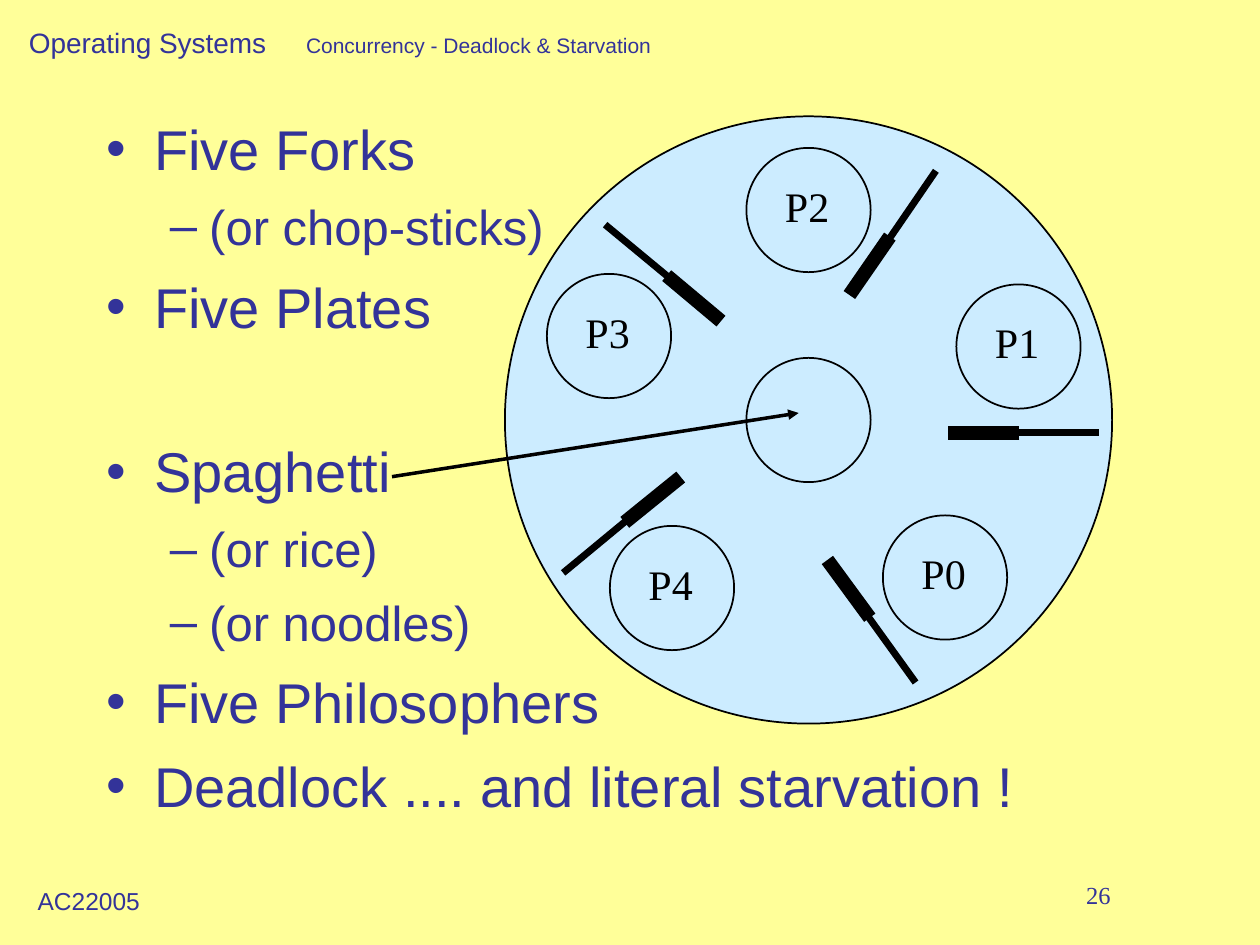
"""Build the dining philosophers slide: a bulleted list beside a round table."""
import pptx
import pptx.dml.color
import pptx.enum.shapes
import pptx.oxml.ns
import pptx.util
from lxml import etree

Pt = pptx.util.Pt
RGB = pptx.dml.color.RGBColor
SHAPE = pptx.enum.shapes.MSO_SHAPE
qn = pptx.oxml.ns.qn


class Theme:
    paper = RGB.from_string("FFFF99")
    ink = RGB.from_string("333399")
    table = RGB.from_string("CCECFF")
    black = RGB.from_string("000000")
    sans = "Arial"
    serif = "Times New Roman"
    topic, footer, course, label = 12, 14, 16, 24
    bullets = (32, 28)


def add_text(tf, text, size, font=Theme.sans, color=Theme.ink, bullet=None,
             level=0, indent=(0, 0), before=0, first=True):
    tf.word_wrap = True
    p = tf.paragraphs[0] if first else tf.add_paragraph()
    p.level = level
    p.space_before = Pt(before)
    r = p.add_run()
    r.text = text
    r.font.size = Pt(size)
    r.font.name = font
    r.font.color.rgb = color
    if bullet:
        pPr = p._p.get_or_add_pPr()
        pPr.set("marL", str(Pt(indent[0])))
        pPr.set("indent", str(Pt(indent[1])))
        etree.SubElement(pPr, qn("a:buFont"), typeface=font)
        etree.SubElement(pPr, qn("a:buChar"), char=bullet)


def add_line(s, x1, y1, x2, y2, width):
    c = s.shapes.add_connector(pptx.enum.shapes.MSO_CONNECTOR.STRAIGHT,
                               Pt(x1), Pt(y1), Pt(x2), Pt(y2))
    c.line.color.rgb = Theme.black
    c.line.width = Pt(width)
    etree.SubElement(c._element.spPr, qn("a:effectLst"))
    return c


prs = pptx.Presentation()
prs.slide_width, prs.slide_height = Pt(720), Pt(540)
s = prs.slides.add_slide(prs.slide_layouts[6])
s.background.fill.solid()
s.background.fill.fore_color.rgb = Theme.paper

captions = [
    ("Concurrency - Deadlock & Starvation", 167.8, 15, 216, 22, Theme.topic, Theme.sans),
    ("26", 613.5, 499.5, 73, 24, Theme.footer, Theme.serif),
    ("AC22005", 14.4, 502.5, 73, 24, Theme.footer, Theme.sans),
    ("Operating Systems", 9.4, 10.8, 154, 26, Theme.course, Theme.sans),
]
for text, x, y, w, h, size, font in captions:
    sp = s.shapes.add_textbox(Pt(x), Pt(y), Pt(w), Pt(h))
    add_text(sp.text_frame, text, size, font=font)

points = [
    ("Five Forks", 0, 0),
    ("(or chop-sticks)", 1, 8.4),
    ("Five Plates", 0, 9.5),
    ("Spaghetti", 0, 55.8),
    ("(or rice)", 1, 8.4),
    ("(or noodles)", 1, 8.4),
    ("Five Philosophers", 0, 9.5),
    ("Deadlock .... and literal starvation !", 0, 9.5),
]
body = s.shapes.add_textbox(Pt(54), Pt(62), Pt(612), Pt(420))
for i, (text, level, before) in enumerate(points):
    add_text(body.text_frame, text, Theme.bullets[level], bullet="•–"[level],
             level=level, indent=((27, -27), (58.5, -22.5))[level],
             before=before, first=i == 0)

plate = 71
plates = [
    ("P0", 504.5, 294.5),
    ("P1", 546.5, 162.5),
    ("P2", 426.5, 84.5),
    ("P3", 312.5, 156.5),
    ("P4", 348.5, 300.5),
]
circles = [(288.5, 66.5, 347), (426.5, 204.5, plate)]
circles += [(x, y, plate) for _, x, y in plates]
for x, y, d in circles:
    sp = s.shapes.add_shape(SHAPE.OVAL, Pt(x), Pt(y), Pt(d), Pt(d))
    sp.shadow.inherit = False
    sp.fill.solid()
    sp.fill.fore_color.rgb = Theme.table
    sp.line.color.rgb = Theme.black
    sp.line.width = Pt(1)

for name, x, y in plates:
    sp = s.shapes.add_textbox(Pt(x + 15), Pt(y + 15), Pt(42), Pt(36))
    sp.fill.solid()
    sp.fill.fore_color.rgb = Theme.table
    add_text(sp.text_frame, name, Theme.label, font=Theme.serif, color=Theme.black)

forks = [
    ((628, 247.4, 569.5, 247.4), (582.5, 247.2, 541.8, 247.2)),
    ((523.2, 390, 489, 342.5), (497, 353, 472.8, 320)),
    ((321.8, 327.4, 366.5, 290.4), (357, 298.5, 389, 272.6)),
    ((345.8, 128.4, 391, 165.8), (381, 157.5, 412, 183.5)),
    ((534.8, 97.6, 502, 145.5), (508.5, 135.2, 485.4, 168.6)),
]
for prong, handle in forks:
    add_line(s, *prong, 4)
    add_line(s, *handle, 8)

arrow = add_line(s, 224, 272.4, 456.4, 236, 2)
etree.SubElement(arrow.line._get_or_add_ln(), qn("a:tailEnd"), type="triangle")

prs.save("out.pptx")
